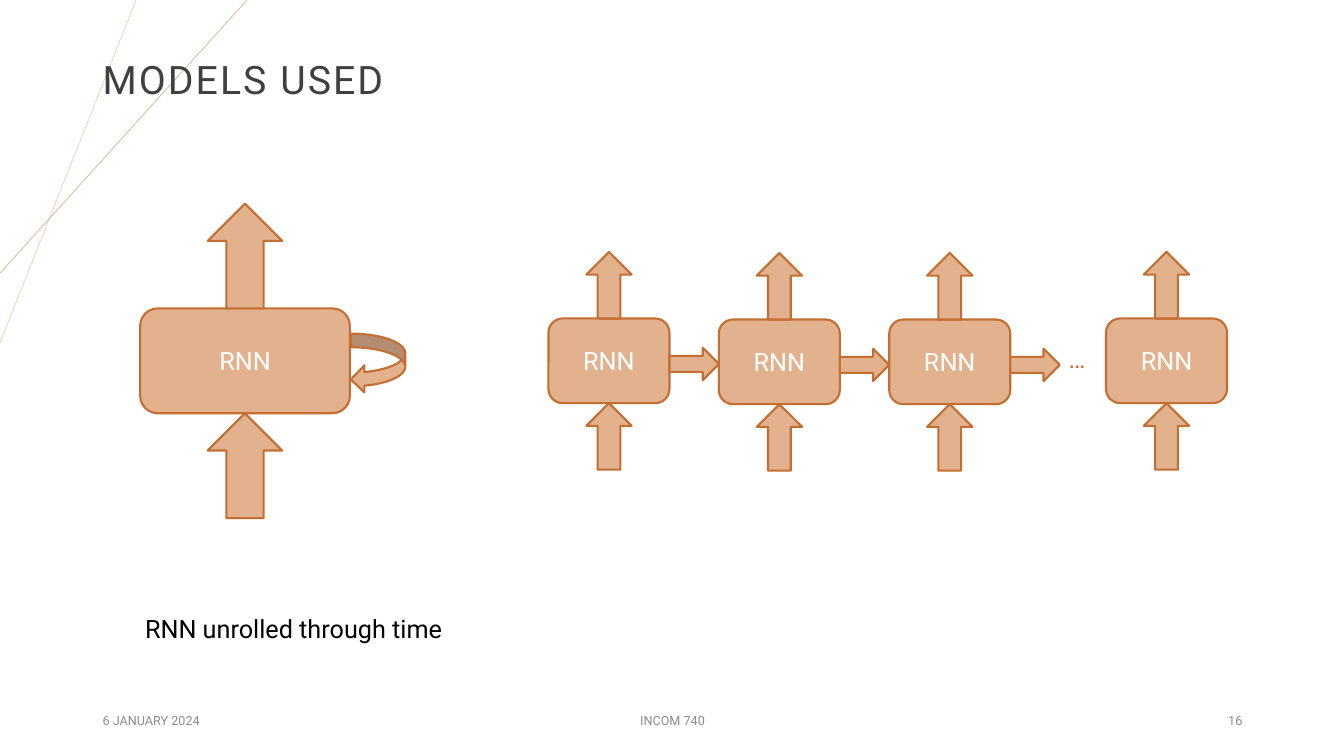
from dataclasses import dataclass

from lxml.etree import SubElement
from pptx import Presentation
from pptx.dml.color import RGBColor
from pptx.enum.shapes import MSO_CONNECTOR, MSO_SHAPE
from pptx.enum.text import MSO_ANCHOR, PP_ALIGN
from pptx.oxml.ns import qn
from pptx.slide import Slide
from pptx.util import Inches, Pt

FONT = "Roboto"
SAND = "E2B18D"
RUST = "C46E31"
GREY = "8C8C8C"


@dataclass
class Cell:
    """An RNN box with an input arrow below and an output arrow above."""
    left: float
    top: float
    width: float
    height: float
    arrow_width: float
    arrow_height: float


@dataclass
class Label:
    text: str
    left: float
    top: float
    width: float
    height: float
    size: float
    color: str
    align: PP_ALIGN = PP_ALIGN.LEFT
    anchor: MSO_ANCHOR = MSO_ANCHOR.MIDDLE
    line_spacing: float = 1.0
    letter_spacing: float = 0


@dataclass
class DecorLine:
    start_x: float
    end_y: float
    width: float


LARGE_CELL = Cell(1.39, 3.06, 2.08, 1.04, 0.74, 1.04)
STEPS = [Cell(left, top, 1.2, 0.84, 0.45, 0.66)
         for left, top in ((5.44, 3.16), (7.13, 3.17), (8.82, 3.17), (10.97, 3.16))]
DECOR_LINES = [DecorLine(1.35, 3.4, 0.25), DecorLine(2.45, 2.71, 0.5)]
LABELS = [
    Label("MODELS USED", 0.92, 0.39, 9.21, 0.85, 28, "404040",
          line_spacing=0.9, letter_spacing=1.5),
    Label("…", 10.5, 3.36, 0.47, 0.4, 18, RUST, anchor=MSO_ANCHOR.TOP),
    Label("RNN unrolled through time", 1.34, 6.04, 5.95, 0.4, 18, "000000",
          anchor=MSO_ANCHOR.TOP),
    Label("6 JANUARY 2024", 0.92, 6.95, 3, 0.4, 9, GREY),
    Label("INCOM 740", 4.42, 6.95, 4.5, 0.4, 9, GREY, PP_ALIGN.CENTER),
    Label("16", 9.42, 6.95, 3, 0.4, 9, GREY, PP_ALIGN.RIGHT),
]


def rgb(color: str) -> RGBColor:
    return RGBColor.from_string(color)


def write_text(shape, text: str, size: float, color: str, align: PP_ALIGN,
               anchor: MSO_ANCHOR):
    """Fill a shape with one formatted paragraph and return the paragraph."""
    frame = shape.text_frame
    frame.text = text
    frame.word_wrap = True
    frame.vertical_anchor = anchor
    paragraph = frame.paragraphs[0]
    paragraph.alignment = align
    font = paragraph.runs[0].font
    font.name = FONT
    font.size = Pt(size)
    font.color.rgb = rgb(color)
    return paragraph


def add_block(slide: Slide, kind: MSO_SHAPE, left: float, top: float,
              width: float, height: float):
    shape = slide.shapes.add_shape(kind, Inches(left), Inches(top),
                                   Inches(width), Inches(height))
    shape.shadow.inherit = False
    shape.fill.solid()
    shape.fill.fore_color.rgb = rgb(SAND)
    shape.line.color.rgb = rgb(RUST)
    shape.line.width = Pt(1.5)
    return shape


def add_cell(slide: Slide, cell: Cell) -> None:
    box = add_block(slide, MSO_SHAPE.ROUNDED_RECTANGLE, cell.left, cell.top,
                    cell.width, cell.height)
    write_text(box, "RNN", 18, "FFFFFF", PP_ALIGN.CENTER, MSO_ANCHOR.MIDDLE)
    arrow_left = cell.left + (cell.width - cell.arrow_width) / 2
    for arrow_top in (cell.top + cell.height, cell.top - cell.arrow_height):
        add_block(slide, MSO_SHAPE.UP_ARROW, arrow_left, arrow_top,
                  cell.arrow_width, cell.arrow_height)


def add_label(slide: Slide, label: Label) -> None:
    box = slide.shapes.add_textbox(Inches(label.left), Inches(label.top),
                                   Inches(label.width), Inches(label.height))
    paragraph = write_text(box, label.text, label.size, label.color,
                           label.align, label.anchor)
    paragraph.line_spacing = label.line_spacing
    if label.letter_spacing:
        properties = paragraph.runs[0].font._element
        properties.set("spc", str(round(label.letter_spacing * 100)))


def add_decor_line(slide: Slide, line: DecorLine) -> None:
    connector = slide.shapes.add_connector(
        MSO_CONNECTOR.STRAIGHT, Inches(line.start_x), Inches(0),
        Inches(0), Inches(line.end_y))
    connector.line.color.rgb = rgb(SAND)
    connector.line.width = Pt(line.width)
    SubElement(connector._element.spPr, qn("a:effectLst"))


def main() -> None:
    presentation = Presentation()
    presentation.slide_width = Inches(13.33)
    presentation.slide_height = Inches(7.5)
    slide = presentation.slides.add_slide(presentation.slide_layouts[6])

    for line in DECOR_LINES:
        add_decor_line(slide, line)
    for cell in [LARGE_CELL, *STEPS]:
        add_cell(slide, cell)
    add_block(slide, MSO_SHAPE.CURVED_LEFT_ARROW, 3.48, 3.31, 0.54, 0.59)
    for step in STEPS[:-1]:
        add_block(slide, MSO_SHAPE.RIGHT_ARROW, step.left + step.width,
                  step.top + 0.29, 0.49, 0.32)
    for label in LABELS:
        add_label(slide, label)

    presentation.save("out.pptx")


if __name__ == "__main__":
    main()
